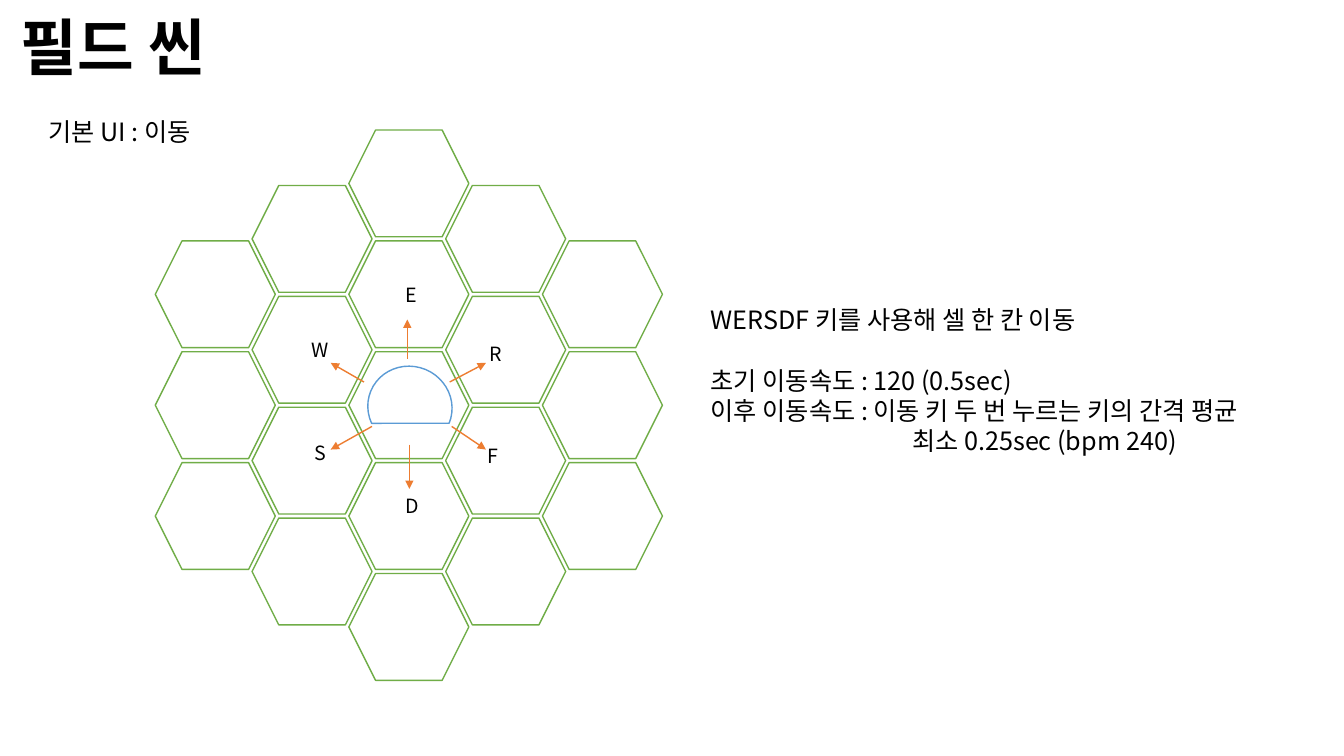
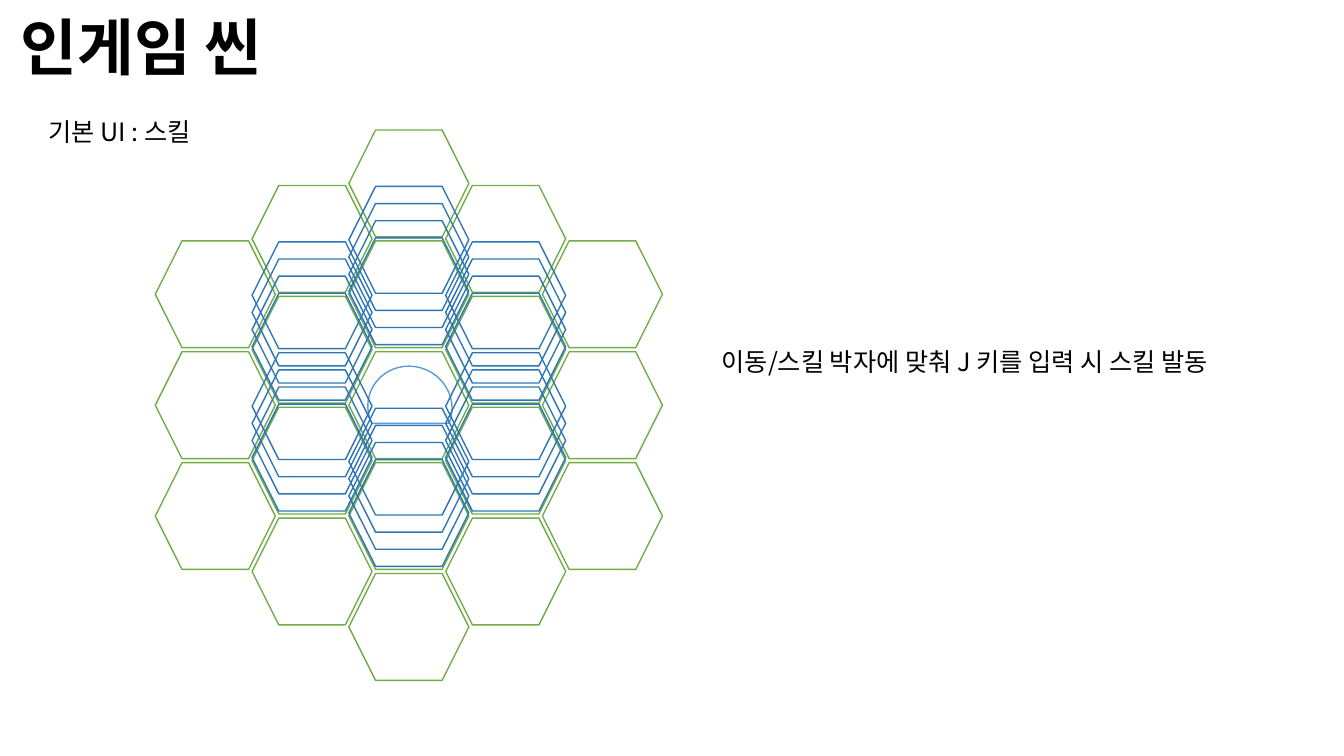
from lxml import etree
from pptx import Presentation
from pptx import util as u
from pptx.dml.color import RGBColor
from pptx.enum import shapes, text
from pptx.oxml import ns

PX = 9144  # 100 px to the inch
BLACK = RGBColor(0x00, 0x00, 0x00)
WHITE = RGBColor(0xFF, 0xFF, 0xFF)
GREEN = RGBColor(0x70, 0xAD, 0x47)
SKY = RGBColor(0x5B, 0x9B, 0xD5)
BLUE = RGBColor(0x2E, 0x75, 0xB6)
ORANGE = RGBColor(0xED, 0x7D, 0x31)

SANS = "Noto Sans CJK KR"
TITLE = {"size": u.Pt(44), "name": "Arial", "bold": True}
BODY = {"size": u.Pt(18), "name": SANS}
KEY = {"size": u.Pt(14), "name": SANS}
LEAD = 1.2  # line height over text size

HEX = (119, 106)
MID = (346, 349)  # top left of the centre cell
STEP = (96, 110)  # between columns, between rows
HERO = (366, 362, 81, 84)
TURN = 112.2

# key, place of its label, arrow from, arrow to
MOVES = [
    ("E", (392, 276), (404, 356), (404, 317)),
    ("R", (476, 334), (446, 379), (482, 360)),
    ("F", (474, 436), (448, 423), (482, 446)),
    ("D", (392, 485), (406, 441), (406, 485)),
    ("S", (302, 433), (369, 423), (328, 446)),
    ("W", (299, 330), (361, 379), (328, 360)),
]

# neighbour cells: columns and rows away from the centre
NEAR = [(0, -1), (1, -0.5), (-1, 0.5), (0, 1), (-1, -0.5), (1, 0.5)]
LAYERS, LIFT, SHIFT = 4, 54, 17

# text, left indent, blank lines above
FIELD = [
    ("WERSDF 키를 사용해 셀 한 칸 이동", 0, 0),
    ("초기 이동속도 : 120 (0.5sec)", 0, 1),
    ("이후 이동속도 : 이동 키 두 번 누르는 키의 간격 평균", 0, 0),
    ("최소 0.25sec (bpm 240)", 200, 0),
]
SKILL = [("이동/스킬 박자에 맞춰 J 키를 입력 시 스킬 발동", 0, 0)]


def emu(*vals):
    return [round(v * PX) for v in vals]


def write(slide, box, lines, style):
    frame = slide.shapes.add_textbox(*emu(*box)).text_frame
    frame.word_wrap = True
    frame.vertical_anchor = text.MSO_ANCHOR.TOP
    lead = u.Pt(style["size"].pt * LEAD)
    for i, (line, indent, gap) in enumerate(lines):
        para = frame.add_paragraph() if i else frame.paragraphs[0]
        para.line_spacing = lead
        para.space_before = lead * gap
        if indent:
            para._p.get_or_add_pPr().set("marL", str(indent * PX))
        run = para.add_run()
        run.text = line
        for name, val in style.items():
            setattr(run.font, name, val)
        run.font.color.rgb = BLACK
        asian = etree.SubElement(run._r.get_or_add_rPr(), ns.qn("a:ea"))
        asian.set("typeface", SANS)


def draw(tree, kind, box, ink, fill=None):
    shape = tree.add_shape(kind, *emu(*box))
    shape.shadow.inherit = False
    if fill is None:
        shape.fill.background()
    else:
        shape.fill.solid()
        shape.fill.fore_color.rgb = fill
    shape.line.color.rgb = ink
    shape.line.width = u.Pt(1)
    return shape


def cell(tree, col, row, ink, fill=None, drop=0):
    """Draw a hexagon, counted in columns and rows from the centre."""
    left, top = MID[0] + col * STEP[0], MID[1] + row * STEP[1] + drop
    draw(tree, shapes.MSO_SHAPE.HEXAGON, (left, top, *HEX), ink, fill)


def arrow(slide, start, end):
    line = slide.shapes.add_connector(
        shapes.MSO_CONNECTOR.STRAIGHT, *emu(*start, *end))
    line.line.color.rgb = ORANGE
    line.line.width = u.Pt(1)
    tail = etree.SubElement(line.line._get_or_add_ln(), ns.qn("a:tailEnd"))
    tail.set("type", "triangle")
    etree.SubElement(line._element.spPr, ns.qn("a:effectLst"))


def base(deck, title, topic):
    """Add a slide with its title, its topic, the board and the hero."""
    slide = deck.slides.add_slide(deck.slide_layouts[6])
    write(slide, (11, 4, 400, 84), [(title, 0, 0)], TITLE)
    write(slide, (38, 110, 200, 40), [(f"기본 UI : {topic}", 0, 0)], BODY)
    for col in range(-2, 3):
        count = 5 - abs(col)
        for i in range(count):
            cell(slide.shapes, col, i - (count - 1) / 2, GREEN, WHITE)
    hero = draw(slide.shapes, shapes.MSO_SHAPE.CHORD, HERO, SKY, WHITE)
    hero.rotation = TURN
    return slide


def field(deck):
    slide = base(deck, "필드 씬", "이동")
    for key, spot, start, end in MOVES:
        arrow(slide, start, end)
        write(slide, (*spot, 50, 34), [(key, 0, 0)], KEY)
    write(slide, (695, 297, 620, 162), FIELD, BODY)


def skill(deck):
    slide = base(deck, "인게임 씬", "스킬")
    write(slide, (706, 339, 580, 40), SKILL, BODY)
    for col, row in NEAR:
        stack = slide.shapes.add_group_shape()
        for i in range(LAYERS):
            cell(stack.shapes, col, row, BLUE, drop=i * SHIFT - LIFT)


def main():
    deck = Presentation()
    deck.slide_width, deck.slide_height = emu(1333, 750)
    field(deck)
    skill(deck)
    deck.save("out.pptx")


if __name__ == "__main__":
    main()
